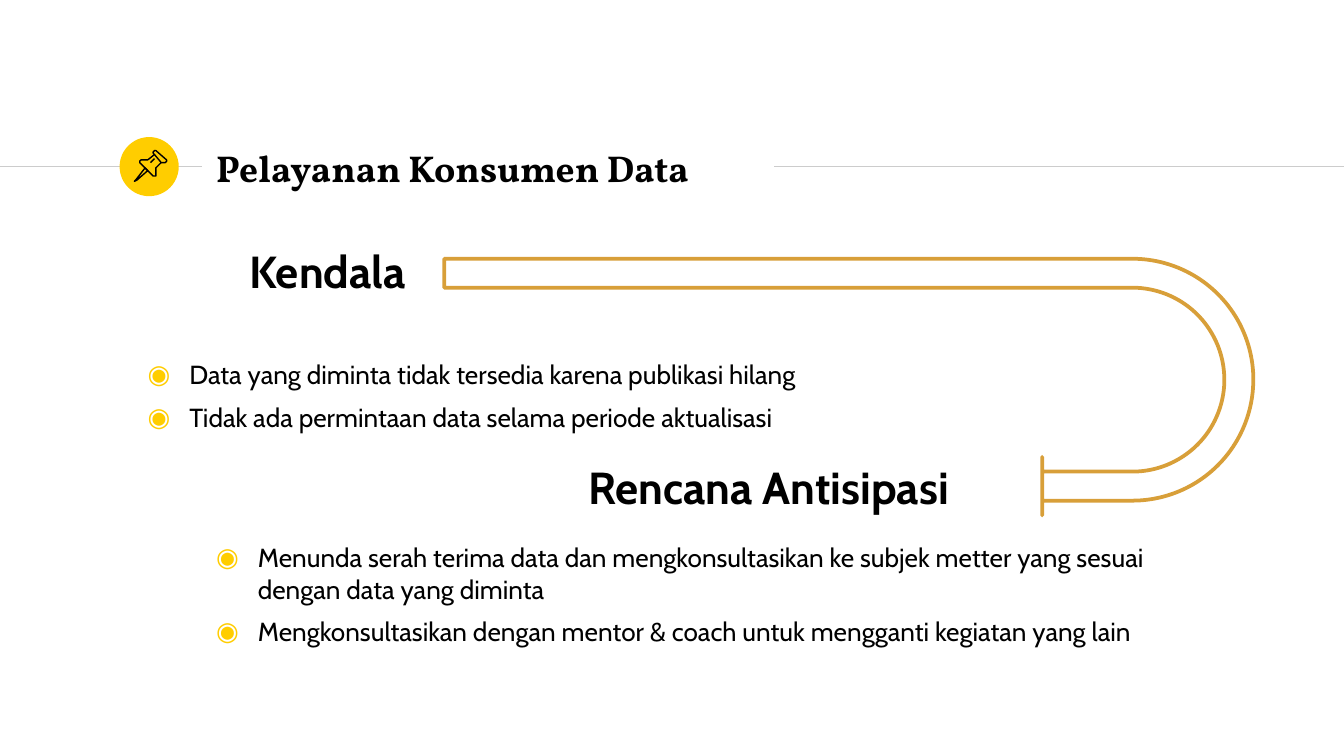
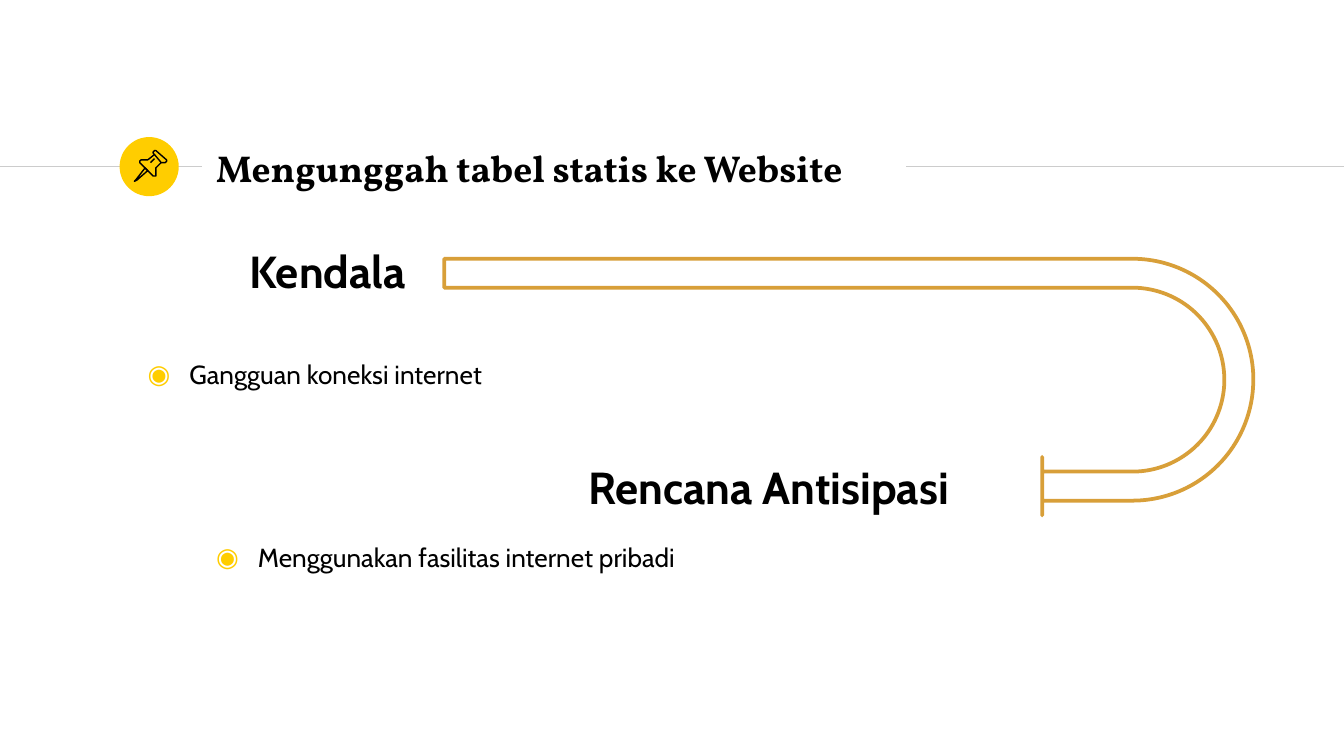
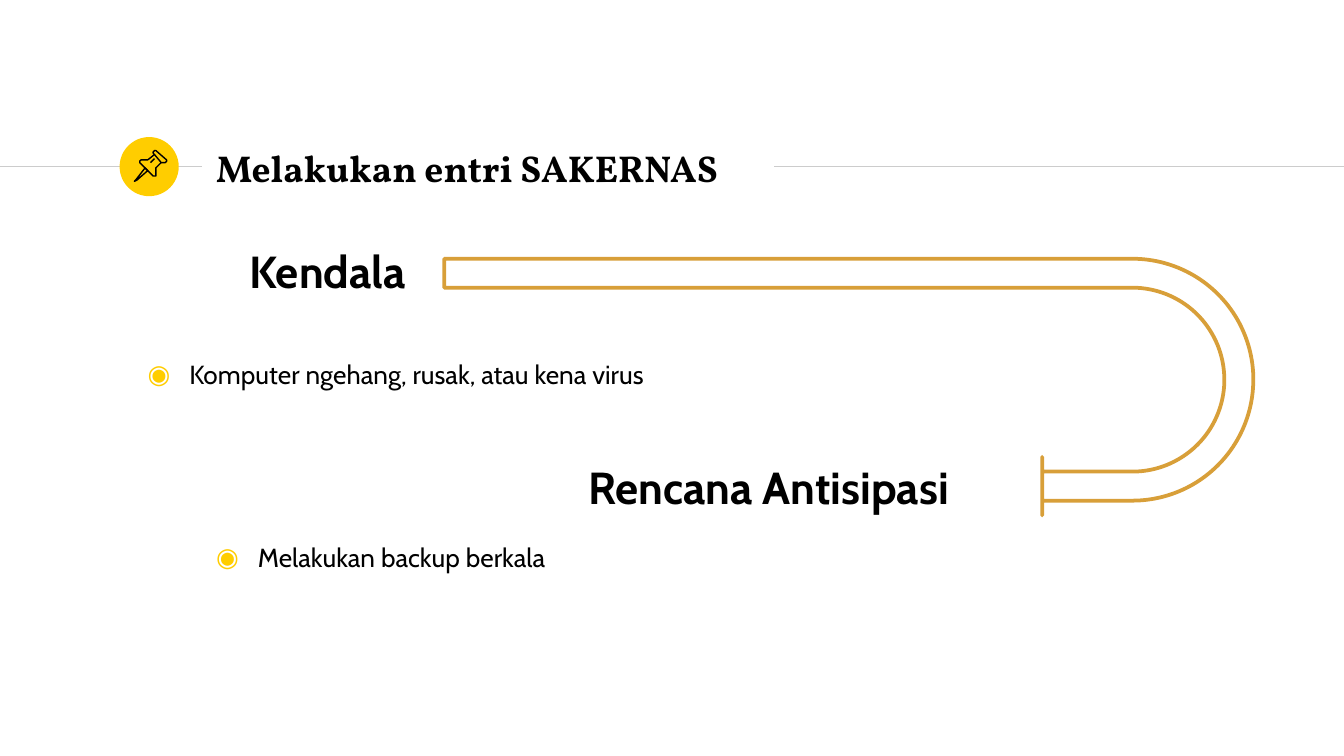
"""Build three slides that pair each obstacle with its planned response."""
import lxml.etree
import pptx
import pptx.dml.color
import pptx.enum.shapes
import pptx.enum.text
import pptx.oxml.ns
import pptx.util

Inches, Pt = pptx.util.Inches, pptx.util.Pt
SHAPE = pptx.enum.shapes.MSO_SHAPE
GOLD, OCHRE, GREY, WHITE, BLACK = "FFCD00", "D89F39", "CCCCCC", "FFFFFF", "000000"

SLIDES = [
    {
        "title": "Pelayanan Konsumen Data",
        "width": 4.24,
        "mask": None,
        "issues": [
            "Data yang diminta tidak tersedia karena publikasi hilang",
            "Tidak ada permintaan data selama periode aktualisasi",
        ],
        "plans": [
            "Menunda serah terima data dan mengkonsultasikan ke subjek metter "
            "yang sesuai dengan data yang diminta",
            "Mengkonsultasikan dengan mentor & coach untuk mengganti kegiatan yang lain",
        ],
        "height": 1.11,
    },
    {
        "title": "Mengunggah tabel statis ke Website",
        "width": 5.07,
        "mask": (5.58, 1.01, 1.15, 0.48),
        "issues": ["Gangguan koneksi internet"],
        "plans": ["Menggunakan fasilitas internet pribadi"],
        "height": 1.11,
    },
    {
        "title": "Melakukan entri SAKERNAS",
        "width": 5.5,
        "mask": (5.53, 1.01, 0.05, 0.48),
        "issues": ["Komputer ngehang, rusak, atau kena virus"],
        "plans": ["Melakukan backup berkala"],
        "height": 0.69,
    },
]

TITLE = {"name": "Vollkorn", "size": Pt(20), "bold": True}
HEAD = {"name": "Cabin", "size": Pt(24), "bold": True}
BODY = {"name": "Cabin", "size": Pt(14), "bold": False}

RULE_Y = 1.24
RULES = [(0, 1.5), (5.76, 10)]
TURN = [11.3, 11.4, 0, 47.1, 26.1]

PIN = [
    ([(108, 125), (101, 134), (100, 135), (102, 134), (110, 127)], True),
    ([(115, 115), (120, 121), (123, 121), (124, 120), (124, 119), (116, 112),
      (115, 112), (114, 113), (114, 114)], True),
    ([(115, 115), (110, 119), (105, 119), (104, 120), (104, 121), (114, 131),
      (116, 131), (116, 125), (120, 121)], False),
    ([(112, 121), (115, 118)], False),
]


def tint(code):
    return pptx.dml.color.RGBColor.from_string(code)


def stroke(line, code, width):
    line.color.rgb = tint(code)
    line.width = Pt(width)


def add_node(parent, tag, **attrs):
    lxml.etree.SubElement(parent, pptx.oxml.ns.qn(tag), attrs)


def add_form(slide, kind, box, fill, edge=None):
    form = slide.shapes.add_shape(kind, *map(Inches, box))
    form.shadow.inherit = False
    form.fill.solid()
    form.fill.fore_color.rgb = tint(fill)
    if edge:
        stroke(form.line, edge, 2)
    else:
        form.line.fill.background()
    return form


def add_text(slide, box, lines, style, left=0, bullet=False, middle=False):
    frame = slide.shapes.add_textbox(*map(Inches, box)).text_frame
    anchor = pptx.enum.text.MSO_ANCHOR
    edge = Inches(0.1)
    form = {
        "word_wrap": True,
        "vertical_anchor": anchor.MIDDLE if middle else anchor.TOP,
        "margin_left": edge, "margin_right": edge,
        "margin_top": edge, "margin_bottom": edge,
    }
    for key, value in form.items():
        setattr(frame, key, value)
    for index, words in enumerate(lines):
        para = frame.add_paragraph() if index else frame.paragraphs[0]
        props = para._p.get_or_add_pPr()
        props.set("marL", str(Inches(left)))
        props.set("indent", str(Inches(-left if bullet else 0)))
        if bullet:
            add_node(props, "a:buClr")
            add_node(props[-1], "a:srgbClr", val=GOLD)
            add_node(props, "a:buFont", typeface=style["name"])
            add_node(props, "a:buChar", char="◉")
        if index:
            para.space_before = Pt(6)
        run = para.add_run()
        run.text = words
        run.font.color.rgb = tint(BLACK)
        for key, value in style.items():
            setattr(run.font, key, value)


def add_band(slide):
    for start, end in RULES:
        rule = slide.shapes.add_connector(
            pptx.enum.shapes.MSO_CONNECTOR.STRAIGHT,
            *map(Inches, (start, RULE_Y, end, RULE_Y)))
        stroke(rule.line, GREY, 0.75)
        add_node(rule._element.spPr, "a:effectLst")
    add_form(slide, SHAPE.OVAL, (0.89, 1.02, 0.44, 0.44), GOLD)


def add_pin(slide):
    group = slide.shapes.add_group_shape()
    for points, closed in PIN:
        draft = group.shapes.build_freeform(*points[0], scale=Inches(0.01))
        draft.add_line_segments(points[1:], close=closed)
        part = draft.convert_to_shape()
        part.shadow.inherit = False
        part.fill.background()
        stroke(part.line, BLACK, 0.75)


def add_turn(slide):
    arrow = add_form(slide, SHAPE.U_TURN_ARROW, (5.36, -0.13, 1.91, 6.02), WHITE, OCHRE)
    arrow.rotation = 90
    for index, value in enumerate(TURN):
        arrow.adjustments[index] = value / 100


def add_page(deck, page):
    slide = deck.slides.add_slide(deck.slide_layouts[6])
    add_band(slide)
    if page["mask"]:
        add_form(slide, SHAPE.RECTANGLE, page["mask"], WHITE, WHITE)
    add_text(slide, (1.51, 1.01, page["width"], 0.48), [page["title"]], TITLE, middle=True)
    add_text(slide, (1.51, 1.71, 2.04, 0.61), ["Kendala"], HEAD, 0.25)
    add_pin(slide)
    add_text(slide, (1, 2.57, 7.68, 0.82), page["issues"], BODY, 0.31, bullet=True)
    add_text(slide, (1.51, 3.93, 7.68, page["height"]), page["plans"], BODY, 0.31, bullet=True)
    add_text(slide, (4.03, 3.32, 4.24, 0.61), ["Rencana Antisipasi"], HEAD, 0.25)
    add_turn(slide)


def main():
    deck = pptx.Presentation()
    deck.slide_width = Inches(10)
    deck.slide_height = deck.slide_width * 9 // 16
    for page in SLIDES:
        add_page(deck, page)
    deck.save("out.pptx")


if __name__ == "__main__":
    main()
